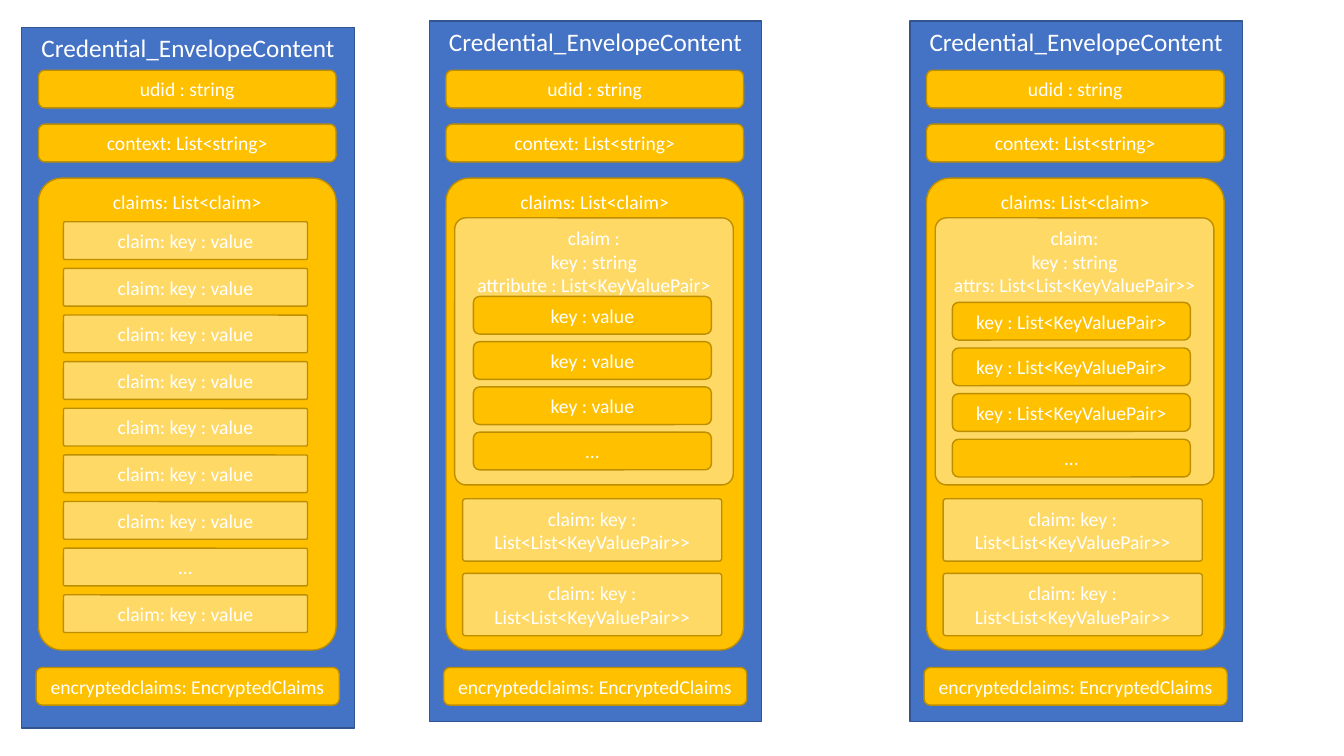
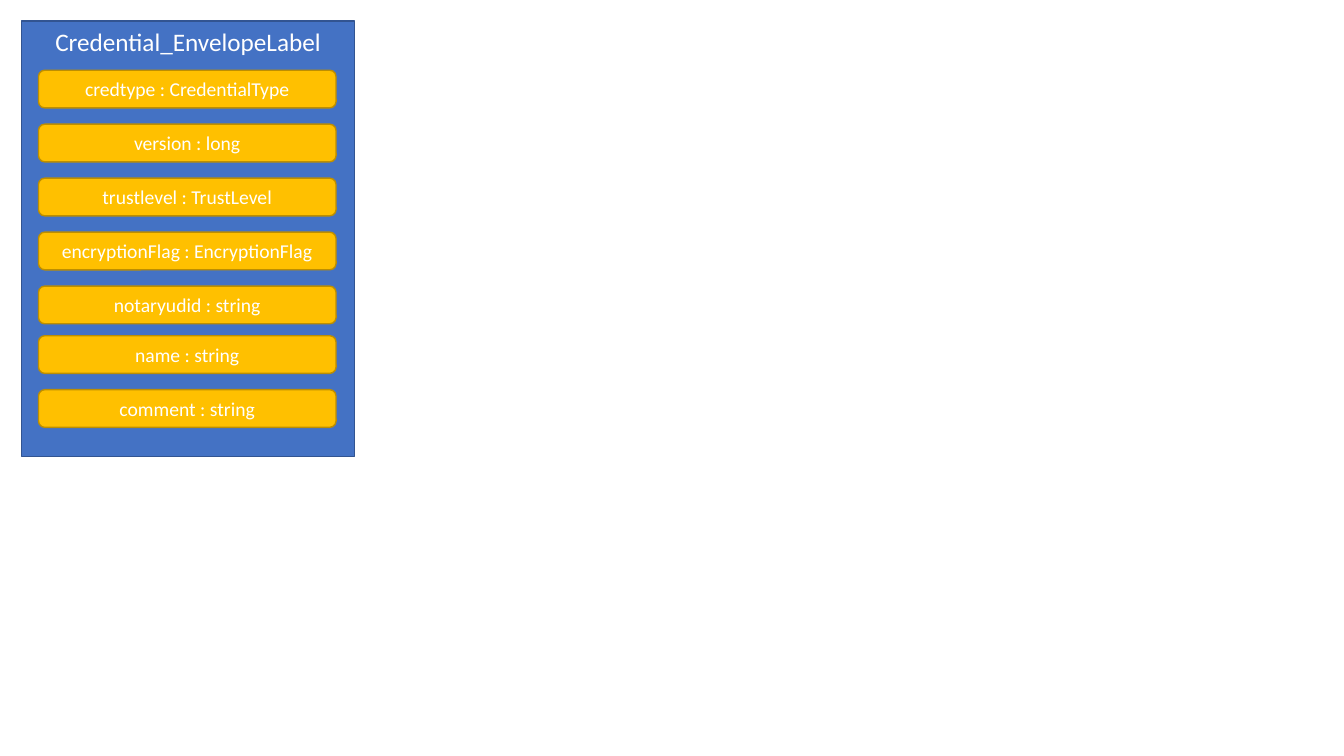
"""Builds two slides of credential envelope diagrams."""
from pptx import Presentation, util as u
from pptx.dml import color
from pptx.enum import shapes, text

HUES = {"blue": "4472C4", "navy": "325491", "gold": "FFC000",
        "pale": "FFD966", "rim": "BD8E00", "white": "FFFFFF"}
FONT = "Calibri"
LEFT, WIDE, ROW, TOP, STEP = 0.55, 8.38, 0.95, 1.77, 1.36
RECT = shapes.MSO_SHAPE.RECTANGLE
ROUND = shapes.MSO_SHAPE.ROUNDED_RECTANGLE


def hue(name):
    return color.RGBColor.from_string(HUES[name])


def box(group, words, x, y, w, h=ROW, kind=ROUND, fill="gold", line="rim",
        size=14, bend=None, top=False):
    shape = group.shapes.add_shape(kind, u.Cm(x), u.Cm(y), u.Cm(w), u.Cm(h))
    shape.shadow.inherit = False
    if bend is not None:
        shape.adjustments[0] = bend
    shape.fill.solid()
    shape.fill.fore_color.rgb = hue(fill)
    shape.line.color.rgb = hue(line)
    shape.line.width = u.Pt(1)
    frame = shape.text_frame
    frame.word_wrap = True
    frame.vertical_anchor = text.MSO_ANCHOR.TOP if top else text.MSO_ANCHOR.MIDDLE
    frame.text = words
    for para in frame.paragraphs:
        para.alignment = text.PP_ALIGN.CENTER
        para.font.name = FONT
        para.font.size = u.Pt(size)
        para.font.color.rgb = hue("white")


deck = Presentation()
deck.slide_width, deck.slide_height = u.Cm(33.87), u.Cm(19.05)
blank = deck.slide_layouts[6]
panel = dict(w=WIDE, kind=RECT, fill="blue", line="navy", size=18, top=True)
claim = dict(fill="pale", bend=0.042)

content = deck.slides.add_slide(blank)
groups = []
for x, y in [(LEFT, 0.7), (10.82, 0.53), (22.93, 0.53)]:
    group = content.shapes.add_group_shape()
    groups.append((group, x))
    box(group, "Credential_EnvelopeContent", x, y, h=17.65, **panel)
    for i, words in enumerate(["udid : string", "context: List<string>"]):
        box(group, words, x + 0.42, TOP + i * STEP, 7.5)
    box(group, "claims: List<claim>", x + 0.42, TOP + 2 * STEP, 7.5, 11.89,
        bend=0.079, top=True)
    box(group, "encryptedclaims: EncryptedClaims", x + 0.36, 16.82, 7.64)

group, x = groups[0]
for i, words in enumerate(["claim: key : value"] * 7 + ["…", "claim: key : value"]):
    box(group, words, x + 1.05, 5.59 + i * 1.175, 6.15, **claim)

nested = [
    ("claim :\nkey : string\nattribute : List<KeyValuePair>", "key : value",
     1.11, 7.47, 1.14),
    ("claim:\nkey : string\nattrs: List<List<KeyValuePair>>",
     "key : List<KeyValuePair>", 1.07, 7.62, 1.15),
]
for (group, x), (head, pair, inset, y, gap) in zip(groups[1:], nested):
    box(group, head, x + 0.64, 5.49, 7.02, 6.73, top=True, **claim)
    for i, words in enumerate([pair] * 3 + ["…"]):
        box(group, words, x + inset, y + i * gap, 6)
    for i in range(2):
        box(group, "claim: key : List<List<KeyValuePair>>", x + 0.84,
            12.57 + i * 1.88, 6.53, 1.57, **claim)

label = deck.slides.add_slide(blank)
group = label.shapes.add_group_shape()
box(group, "Credential_EnvelopeLabel", LEFT, 0.53, h=10.97, **panel)
fields = ["credtype : CredentialType", "version : long",
          "trustlevel : TrustLevel", "encryptionFlag : EncryptionFlag",
          "notaryudid : string", "name : string", "comment : string"]
for i, words in enumerate(fields):
    lift = 0.11 if i > 4 else 0
    box(group, words, LEFT + 0.42, TOP + i * STEP - lift, 7.5)

deck.save("out.pptx")
